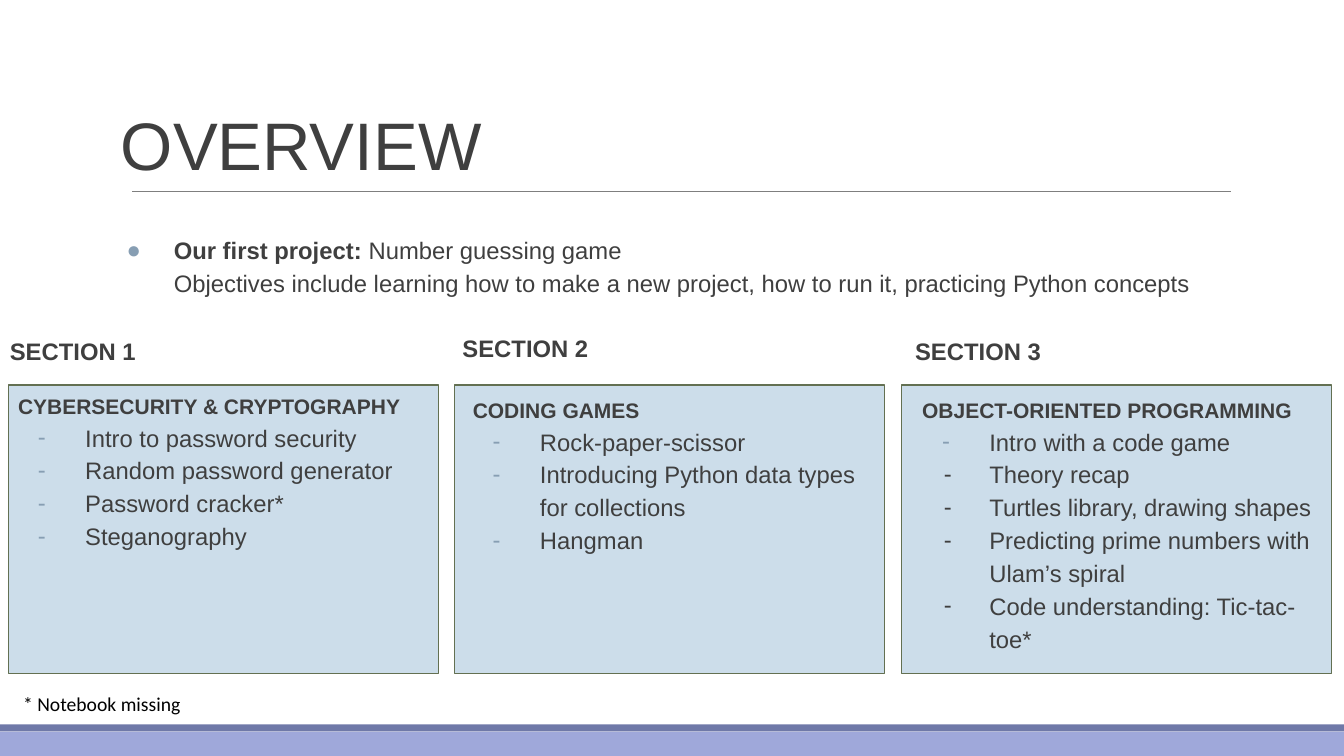
from dataclasses import dataclass

from lxml import etree
from pptx import Presentation
from pptx.dml.color import RGBColor
from pptx.enum import shapes, text
from pptx.oxml import ns
from pptx.util import Pt

INK = RGBColor(0x3F, 0x3F, 0x3F)
BLACK = RGBColor(0, 0, 0)
MUTED_BLUE = RGBColor(0x87, 0x9E, 0xB3)
RULE_GRAY = RGBColor(0x7F, 0x7F, 0x7F)
CARD_BLUE = RGBColor(0xCC, 0xDD, 0xEA)
CARD_EDGE = RGBColor(0x63, 0x70, 0x52)
LAVENDER = RGBColor(0x9F, 0xA8, 0xDA)
DARK_LAVENDER = RGBColor(0x6F, 0x79, 0xA8)

SLIDE_WIDTH, SLIDE_HEIGHT = 960, 540
CARD_LEFT, CARD_TOP, CARD_WIDTH, CARD_HEIGHT = 5.8, 275, 307.4, 206
CARD_STEP = 319
TEXT_INSET = 7.2
BODY_SIZE = 17
LINE_SPACING = 1.15


@dataclass
class Section:
    label: str
    topic: str
    items: list
    label_offset: tuple
    text_offset: tuple
    later_bullets: RGBColor = MUTED_BLUE
    later_hang: float = 33.8


SECTIONS = [
    Section("SECTION 1", "CYBERSECURITY & CRYPTOGRAPHY",
            ["Intro to password security", "Random password generator",
             "Password cracker*", "Steganography"],
            (-5.8, -44.6), (0, -3.6)),
    Section("SECTION 2", "CODING GAMES",
            ["Rock-paper-scissor",
             "Introducing Python data types for collections", "Hangman"],
            (-1.5, -46.8), (5.8, -0.7)),
    Section("SECTION 3", "OBJECT-ORIENTED PROGRAMMING",
            ["Intro with a code game", "Theory recap",
             "Turtles library, drawing shapes",
             "Predicting prime numbers with Ulam’s spiral",
             "Code understanding: Tic-tac-toe*"],
            (2.8, -44.6), (7.8, -0.7), INK, 32.4),
]


def add_frame(slide, left, top, width, height, inset=TEXT_INSET):
    """Add a wrapping text box and return its text frame."""
    frame = slide.shapes.add_textbox(Pt(left), Pt(top), Pt(width), Pt(height)).text_frame
    frame.word_wrap = True
    frame.vertical_anchor = text.MSO_ANCHOR.TOP
    frame.margin_left = frame.margin_right = Pt(inset)
    frame.margin_top = frame.margin_bottom = Pt(inset)
    return frame


def write(paragraph, words, size=BODY_SIZE, color=INK, bold=False, font="Arial",
          spacing=LINE_SPACING):
    """Append formatted words; each newline becomes a line break."""
    paragraph.line_spacing = spacing
    for number, line in enumerate(words.split("\n")):
        if number:
            paragraph.add_line_break()
        run = paragraph.add_run()
        run.text = line
        run.font.name = font
        run.font.size = Pt(size)
        run.font.bold = bold
        run.font.color.rgb = color


def add_bullet(paragraph, mark, color, hang=33.8):
    properties = paragraph._p.get_or_add_pPr()
    properties.set("marL", str(Pt(48)))
    properties.set("indent", str(-Pt(hang)))
    bullet_color = etree.SubElement(properties, ns.qn("a:buClr"))
    etree.SubElement(bullet_color, ns.qn("a:srgbClr"), val=str(color))
    etree.SubElement(properties, ns.qn("a:buFont"), typeface="Arial")
    etree.SubElement(properties, ns.qn("a:buChar"), char=mark)


def add_rectangle(slide, left, top, width, height, fill, edge=None):
    shape = slide.shapes.add_shape(shapes.MSO_SHAPE.RECTANGLE,
                                   Pt(left), Pt(top), Pt(width), Pt(height))
    shape.shadow.inherit = False
    shape.fill.solid()
    shape.fill.fore_color.rgb = fill
    if edge is None:
        shape.line.fill.background()
    else:
        shape.line.color.rgb = edge
        shape.line.width = Pt(0.75)


def add_footer_band(slide, top, height):
    edge_height = 5
    add_rectangle(slide, 0, top + edge_height, SLIDE_WIDTH, height - edge_height, LAVENDER)
    add_rectangle(slide, 0, top, SLIDE_WIDTH, edge_height, DARK_LAVENDER)


def add_title(slide, left, top, width, height):
    """Place the heading with a thin rule along the bottom of its box."""
    frame = add_frame(slide, left, top, width, height, inset=0)
    write(frame.paragraphs[0], "OVERVIEW", size=48, spacing=1)
    rule_left, rule_top = left + 8, top + height
    rule = slide.shapes.add_connector(shapes.MSO_CONNECTOR.STRAIGHT, Pt(rule_left),
                                      Pt(rule_top), Pt(rule_left + 784.6), Pt(rule_top))
    rule.line.color.rgb = RULE_GRAY
    rule.line.width = Pt(0.75)
    etree.SubElement(rule._element.spPr, ns.qn("a:effectLst"))


def add_project(slide, left, top, width, height):
    paragraph = add_frame(slide, left, top, width, height).paragraphs[0]
    add_bullet(paragraph, "●", MUTED_BLUE)
    write(paragraph, "Our first project:", bold=True)
    write(paragraph, " Number guessing game\nObjectives include learning how to make "
                     "a new project, how to run it, practicing Python concepts")


def add_section(slide, section, left, top, width, height):
    """Place a card with its label above and its topic and items inside."""
    add_rectangle(slide, left, top, width, height, CARD_BLUE, CARD_EDGE)

    across, down = section.label_offset
    label = add_frame(slide, left + across, top + down, 236, 35)
    write(label.paragraphs[0], section.label, bold=True)

    across, down = section.text_offset
    frame = add_frame(slide, left + across, top + down, 303, height - 4)
    write(frame.paragraphs[0], section.topic, size=15, bold=True)
    for number, item in enumerate(section.items):
        paragraph = frame.add_paragraph()
        if number:
            add_bullet(paragraph, "-", section.later_bullets, section.later_hang)
        else:
            add_bullet(paragraph, "-", MUTED_BLUE)
        write(paragraph, item)


def add_footnote(slide, left, top, width, height):
    frame = add_frame(slide, left, top, width, height)
    write(frame.paragraphs[0], "* Notebook missing", size=14, color=BLACK,
          font="Calibri", spacing=1)


def main():
    presentation = Presentation()
    presentation.slide_width = Pt(SLIDE_WIDTH)
    presentation.slide_height = Pt(SLIDE_HEIGHT)
    slide = presentation.slides.add_slide(presentation.slide_layouts[6])

    add_footer_band(slide, 517.5, 22.5)
    add_title(slide, 86.4, 74, 774, 62.6)
    add_project(slide, 69.1, 158.4, 800, 60)
    for number, section in enumerate(SECTIONS):
        add_section(slide, section, CARD_LEFT + number * CARD_STEP, CARD_TOP,
                    CARD_WIDTH, CARD_HEIGHT)
    add_footnote(slide, 9.4, 486.7, 854, 31.7)
    presentation.save("out.pptx")


if __name__ == "__main__":
    main()
